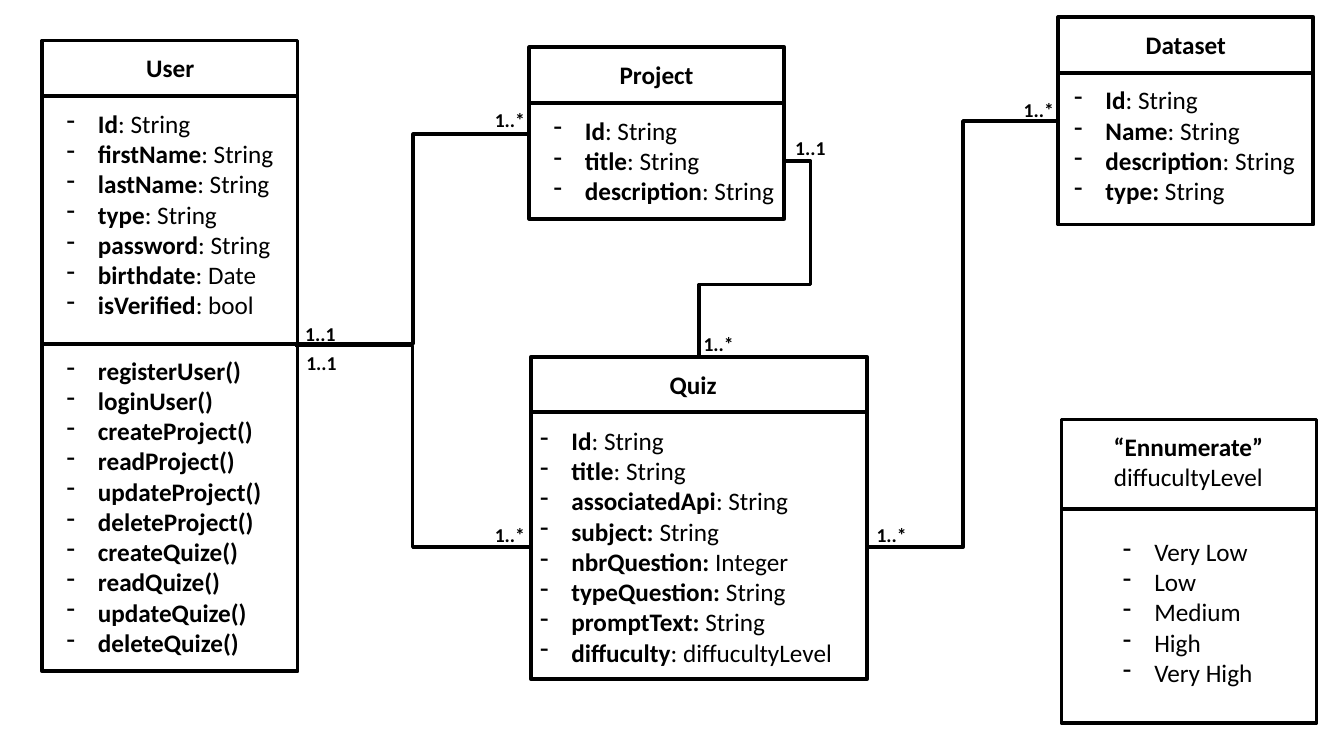
from dataclasses import dataclass

from lxml.etree import SubElement as Sub
from pptx import Presentation
from pptx.dml.color import RGBColor as Rgb
from pptx.enum.shapes import MSO_CONNECTOR as Conn, MSO_SHAPE as Kind
from pptx.enum.text import MSO_AUTO_SIZE as Fit, PP_ALIGN as Align
from pptx.oxml.ns import qn
from pptx.util import Cm, Pt


@dataclass(frozen=True)
class Theme:
    """Colours, font, type sizes and line widths of the diagram."""
    ink: Rgb = Rgb(0, 0, 0)
    paper: Rgb = Rgb(255, 255, 255)
    font: str = "Calibri"
    body: Pt = Pt(18)
    mark: Pt = Pt(14)
    edge: Pt = Pt(2.75)
    link: Pt = Pt(2.5)


LOOK = Theme()


def write(slide, x, y, w, h, rows, size=LOOK.body, align=Align.LEFT, dash=False, wrap=False):
    """Add a text box whose rows read 'bold|plain', with dash bullets if asked."""
    box = slide.shapes.add_textbox(Cm(x), Cm(y), Cm(w), Cm(h))
    frame = box.text_frame
    frame.word_wrap = wrap
    frame.auto_size = Fit.SHAPE_TO_FIT_TEXT
    for i, row in enumerate(rows):
        para = frame.add_paragraph() if i else frame.paragraphs[0]
        para.alignment = align
        if dash:
            props = para._p.get_or_add_pPr()
            props.set("marL", str(Cm(0.79)))
            props.set("indent", str(-Cm(0.79)))
            Sub(props, qn("a:buFontTx"))
            Sub(props, qn("a:buChar"), char="-")
        for part, bold in zip(row.split("|"), (True, False)):
            if part:
                run = para.add_run()
                run.text = part
                font = run.font
                font.name, font.size, font.bold = LOOK.font, size, bold
                font.color.rgb = LOOK.ink


def tall(rows):
    """Return the height in centimetres of a box that holds these rows."""
    return 0.25 + 0.77 * len(rows)


def join(slide, kind, x1, y1, x2, y2, width):
    """Add a flat connector between two points."""
    line = slide.shapes.add_connector(kind, Cm(x1), Cm(y1), Cm(x2), Cm(y2))
    line.line.color.rgb = LOOK.ink
    line.line.width = width
    Sub(line._element.spPr, qn("a:effectLst"))
    return line


def hook(slide, x1, y1, x2, y2, bends):
    """Add a three-bend link, turned a quarter, with the given bend ratios."""
    props = join(slide, Conn.ELBOW, x1, y1, x2, y2, LOOK.link)._element.spPr
    props.find(qn("a:xfrm")).set("rot", "5400000")
    geom = props.find(qn("a:prstGeom"))
    geom.set("prst", "bentConnector4")
    guides = geom.find(qn("a:avLst"))
    for i, bend in enumerate(bends, 1):
        Sub(guides, qn("a:gd"), name=f"adj{i}", fmla=f"val {round(bend * 100000)}")


def card(slide, x, y, w, h, head, title, *parts):
    """Add a class box: a title, then parts of (rule, left, gap, width, rows)."""
    box = slide.shapes.add_shape(Kind.RECTANGLE, Cm(x), Cm(y), Cm(w), Cm(h))
    box.shadow.inherit = False
    box.fill.solid()
    box.fill.fore_color.rgb = LOOK.paper
    box.line.color.rgb = LOOK.ink
    box.line.width = LOOK.edge
    left, wide = head
    write(slide, x + left, y + 0.18, wide, tall(title), title, align=Align.CENTER)
    for rule, left, gap, wide, rows in parts:
        join(slide, Conn.STRAIGHT, x, y + rule, x + w, y + rule, LOOK.edge)
        write(slide, x + left, y + rule + gap, wide, tall(rows), rows, dash=True, wrap=wide > 8)


def cards(slide):
    """Add the five class boxes."""
    card(slide, 1.07, 1.02, 6.43, 15.9, (2.24, 1.96), ["User"],
         (1.4, 0.36, 0.18, 5.79, [
             "Id|: String", "firstName|: String", "lastName|: String", "type|: String",
             "password|: String", "birthdate|: Date", "isVerified|: bool"]),
         (7.65, 0.36, 0.15, 5.46, [
             "registerUser()", "loginUser()", "createProject()", "readProject()",
             "updateProject()", "deleteProject()", "createQuize()", "readQuize()",
             "updateQuize()", "deleteQuize()"]))
    card(slide, 13.34, 1.19, 6.43, 4.32, (2.01, 2.39), ["Project"],
         (1.4, 0.36, 0.18, 6.12, ["Id|: String", "title|: String", "description|: String"]))
    card(slide, 13.39, 8.99, 8.46, 8.13, (3.23, 1.7), ["Quiz"],
         (1.4, -0.03, 0.2, 8.53, [
             "Id|: String", "title|: String", "associatedApi|: String", "subject: |String",
             "nbrQuestion: |Integer", "typeQuestion: |String", "promptText: |String",
             "diffuculty|: diffucultyLevel"]))
    card(slide, 26.67, 0.43, 6.43, 5.23, (1.93, 2.57), ["Dataset"],
         (1.4, 0.15, 0.18, 6.12, [
             "Id|: String", "Name|: String", "description|: String", "type: |String"]))
    card(slide, 26.75, 10.57, 6.43, 7.65, (1.04, 4.32), ["“Ennumerate”", "|diffucultyLevel"],
         (2.26, 1.3, 0.56, 3.81, ["|Very Low", "|Low", "|Medium", "|High", "|Very High"]))


def links(slide):
    """Add the links between classes and their multiplicities."""
    for ends in ((7.49, 8.66, 13.34, 3.38),
                 (7.44, 8.71, 13.36, 13.79),
                 (21.87, 13.79, 26.67, 3.05)):
        join(slide, Conn.ELBOW, *ends, LOOK.link)
    hook(slide, 21.18, 7.62, 16.23, 5.44, (0.37, 1.29))
    marks = {
        "1..1": ((7.44, 7.98), (7.47, 8.71), (19.79, 3.3)),
        "1..*": ((12.22, 2.59), (12.22, 13.06), (17.48, 8.23), (21.84, 13.06), (25.55, 2.34)),
    }
    for mark, spots in marks.items():
        for x, y in spots:
            write(slide, x, y, 1.3, 0.86, [mark], LOOK.mark)


def main():
    """Build the class diagram and save it."""
    deck = Presentation()
    deck.slide_width, deck.slide_height = Cm(33.87), Cm(19.05)
    slide = deck.slides.add_slide(deck.slide_layouts[6])
    cards(slide)
    links(slide)
    deck.save("out.pptx")


if __name__ == "__main__":
    main()
